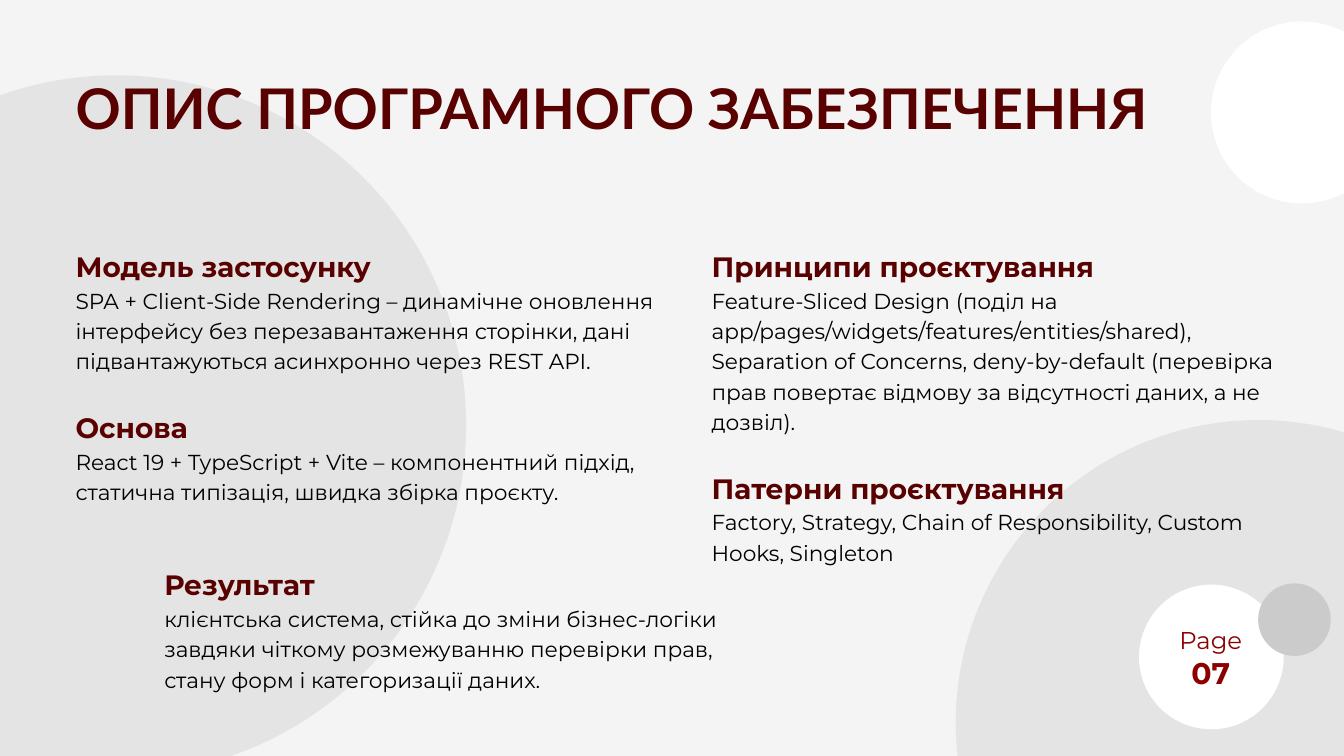
from pptx import Presentation
from pptx.dml.color import RGBColor
from pptx.enum.shapes import MSO_SHAPE as Shape
from pptx.enum.text import MSO_ANCHOR as Anchor, MSO_AUTO_SIZE as AutoSize, PP_ALIGN as Align
from pptx.oxml.ns import qn
from pptx.util import Pt


def color(hex_value):
    return RGBColor.from_string(hex_value)


class SlideBuilder:
    BACKGROUND, PALE, GRAY, WHITE = "F4F4F4", "E4E4E4", "CBCBCB", "FFFFFF"
    DARK_RED, RED, PAGE_RED, BLACK = "590000", "CB0000", "8C0000", "000000"
    TITLE_FONT, TEXT_FONT = "Lato", "Montserrat"

    def __init__(self, deck, layout):
        self.page = deck.slides.add_slide(layout)
        fill = self.page.background.fill
        fill.solid()
        fill.fore_color.rgb = color(self.BACKGROUND)

    def circle(self, left, top, size, hex_value):
        dot = self.page.shapes.add_shape(Shape.OVAL, Pt(left), Pt(top), Pt(size), Pt(size))
        dot.shadow.inherit = False
        dot.fill.solid()
        dot.fill.fore_color.rgb = color(hex_value)
        dot.line.fill.background()

    def place(self, box, left, top, width, height):
        """Move a box to the front and clear its frame settings."""
        self.page.shapes._spTree.append(box._element)
        box.left, box.top, box.width, box.height = Pt(left), Pt(top), Pt(width), Pt(height)
        frame = box.text_frame
        frame.margin_left = frame.margin_top = frame.margin_right = frame.margin_bottom = 0
        frame.word_wrap = True
        frame.auto_size = AutoSize.NONE
        frame.vertical_anchor = Anchor.TOP
        return frame

    def new_box(self):
        return self.page.shapes.add_textbox(0, 0, 0, 0)

    def style(self, para, font_name, size, spacing, bold=False, fill=None, align=Align.LEFT):
        """Format a paragraph; without a fill it gets the red gradient."""
        props = para._p.get_or_add_pPr()
        props.set("marL", "0")
        props.set("indent", "0")
        props.append(props.makeelement(qn("a:buNone"), {}))
        para.alignment = align
        para.line_spacing = Pt(spacing)
        para.space_before = para.space_after = Pt(0)
        for span in para.runs:
            font = span.font
            font.name, font.size, font.bold = font_name, Pt(size), bold
            if fill:
                font.color.rgb = color(fill)
            else:
                font.fill.gradient()
                font.fill.gradient_angle = 270
                for stop, shade in zip(font.fill.gradient_stops, (self.DARK_RED, self.RED)):
                    stop.color.rgb = color(shade)

    def title(self, text, *area):
        frame = self.place(self.page.shapes.title, *area)
        frame.text = text
        self.style(frame.paragraphs[0], self.TITLE_FONT, 60, 65.4, bold=True)

    def sections(self, box, items, *area):
        """Write headings, each followed by its description."""
        frame = self.place(box, *area)
        frame.text = "\n".join(line for item in items for line in item)
        for index, para in enumerate(frame.paragraphs):
            if index % 2 == 0:
                self.style(para, self.TEXT_FONT, 30, 75, bold=True)
            else:
                self.style(para, self.TEXT_FONT, 23.2, 32.5, fill=self.BLACK)

    def page_number(self, number, *area):
        frame = self.place(self.new_box(), *area)
        frame.text = f"Page\n{number}"
        label, value = frame.paragraphs
        self.style(label, self.TEXT_FONT, 26, 31.8, fill=self.PAGE_RED, align=Align.CENTER)
        self.style(value, self.TEXT_FONT, 32, 39.1, True, self.PAGE_RED, Align.CENTER)


LEFT_COLUMN = [
    ("Модель застосунку",
     "SPA + Client-Side Rendering – динамічне оновлення інтерфейсу без перезавантаження "
     "сторінки, дані підвантажуються асинхронно через REST API."),
    ("Основа",
     "React 19 + TypeScript + Vite – компонентний підхід, статична типізація, "
     "швидка збірка проєкту."),
]
RIGHT_COLUMN = [
    ("Принципи проєктування",
     "Feature-Sliced Design (поділ на app/pages/widgets/features/entities/shared), "
     "Separation of Concerns, deny-by-default (перевірка прав повертає відмову "
     "за відсутності даних, а не дозвіл)."),
    ("Патерни проєктування",
     "Factory, Strategy, Chain of Responsibility, Custom Hooks, Singleton"),
]
RESULT = [
    ("Результат",
     "клієнтська система, стійка до зміни бізнес-логіки завдяки чіткому розмежуванню "
     "перевірки прав, стану форм і категоризації даних."),
]


def main():
    deck = Presentation()
    deck.slide_width, deck.slide_height = Pt(1440), Pt(810)
    slide = SlideBuilder(deck, deck.slide_layouts.get_by_name("Two Content"))
    left_body, right_body = list(slide.page.placeholders)[1:]

    # Background circles
    slide.circle(1024, 450, 649, slide.PALE)
    slide.circle(-250.5, 80.8, 750, slide.PALE)
    slide.circle(1220.4, 626.4, 155, slide.WHITE)
    slide.circle(1348, 625, 77.8, slide.GRAY)
    slide.circle(1297.5, 23, 195, slide.WHITE)

    # Title and page number
    slide.title("ОПИС ПРОГРАМНОГО ЗАБЕЗПЕЧЕННЯ", 81, 85.6, 1195, 67.5)
    slide.page_number("07", 1263, 669, 68.5, 70)

    # Text columns and result
    width = 624
    slide.sections(left_body, LEFT_COLUMN, 81, 228.3, width, 351)
    slide.sections(right_body, RIGHT_COLUMN, 762.5, 228.3, width, 415.5)
    slide.sections(slide.new_box(), RESULT, 176, 569.5, width, 211.5)

    deck.save("out.pptx")


if __name__ == "__main__":
    main()
